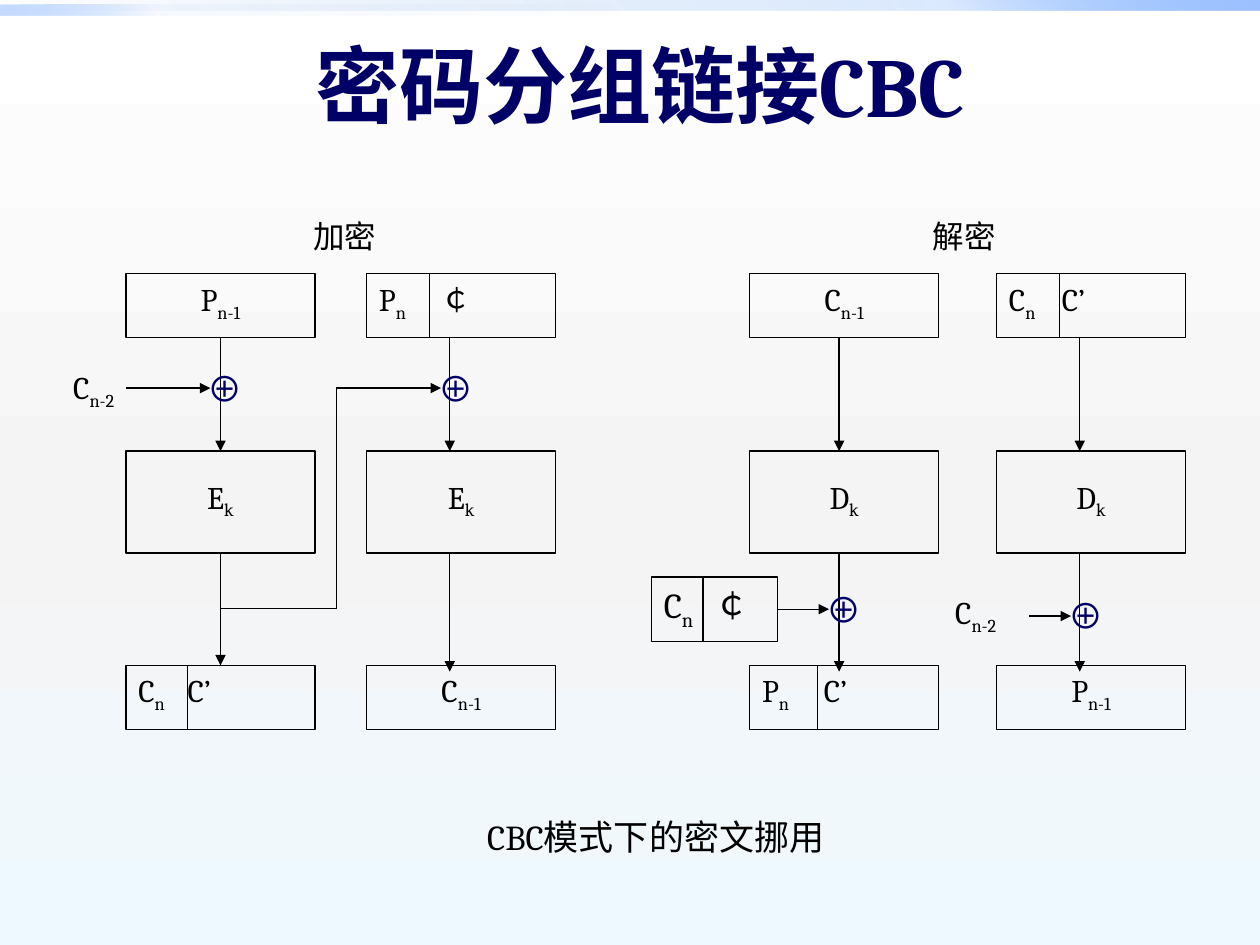
from lxml.etree import SubElement
from pptx import Presentation
from pptx.dml.color import RGBColor
from pptx.enum.shapes import MSO_CONNECTOR, MSO_SHAPE
from pptx.enum.text import MSO_ANCHOR, PP_ALIGN
from pptx.oxml.ns import qn
from pptx.util import Inches, Pt

COLORS = {"navy": "000066", "ink": "000000"}
LATIN, CJK = "Cambria", "Noto Sans CJK SC"

# Gradient stops: position %, colour, opacity %
BACKGROUND = [(0, "FFFFFF", 100), (55, "F4F4F4", 100), (100, "EEF9FF", 100)]
BANDS = [
    ((0, 0, 10, 0.08), [(0, "0058B7", 0), (75, "4F95FF", 20), (100, "9EC2FF", 100)], 315),
    ((0, 0.04, 5, 0.08), [(0, "0058B7", 0), (75, "4F95FF", 5), (100, "9EC2FF", 60)], 135),
]

TITLE = "密码分组链接CBC"
LABELS = [  # text, box, size
    ("加密", (2.32, 1.67, 0.83, 0.4), 18),
    ("解密", (7.24, 1.67, 0.83, 0.4), 18),
    ("CBC模式下的密文挪用", (3.33, 6.42, 3.75, 0.44), 20),
]

# "_" starts a subscript; "|" splits a block in two
COLUMN_X = [1, 2.91, 5.95, 7.91]
ARROW_X = [1.75, 3.57, 6.66, 8.57]
ROWS = [(2.17, 0.51), (3.58, 0.81), (5.28, 0.51)]
BLOCK_W = 1.5
BLOCKS = [
    ["P_n-1", "P_n|￠", "C_n-1", "C_n|C’"],
    ["E_k", "E_k", "D_k", "D_k"],
    ["C_n|C’", "C_n-1", "P_n|C’", "P_n-1"],
]
SPLITS = {  # (row, column): divider offset, tab stop
    (0, 1): (0.5, 0.49), (0, 3): (0.5, 0.42),
    (2, 0): (0.49, 0.39), (2, 2): (0.54, 0.49),
}
STOLEN_BLOCK = ("C_n|￠", (5.17, 4.58, 1, 0.51), (0.41, 0.4))
XORS = [(1.55, 2.92), (3.38, 2.92), (6.46, 4.67), (8.38, 4.72)]
VECTORS = [("C_n-2", 0.33, 2.92), ("C_n-2", 7.33, 4.71)]
LINES = [  # start, end, arrowhead
    ((1, 3.08), (1.67, 3.08), True),
    ((1.75, 4.83), (2.67, 4.83), False),
    ((2.67, 4.83), (2.67, 3.08), False),
    ((2.67, 3.08), (3.5, 3.08), True),
    ((8.17, 4.89), (8.5, 4.89), True),
]


def rgb(name):
    return RGBColor.from_string(COLORS[name])


def swap_gradient(root, stops, angle):
    """Replace the first solid fill under root by a linear gradient."""
    old = next(root.iter(qn("a:solidFill")))
    grad = old.makeelement(qn("a:gradFill"), {"rotWithShape": "1"})
    gs_list = SubElement(grad, qn("a:gsLst"))
    for pos, color, opacity in stops:
        gs = SubElement(gs_list, qn("a:gs"), pos=str(pos * 1000))
        clr = SubElement(gs, qn("a:srgbClr"), val=color)
        if opacity < 100:
            SubElement(clr, qn("a:alpha"), val=str(opacity * 1000))
    SubElement(grad, qn("a:lin"), ang=str(angle * 60000), scaled="0")
    old.getparent().replace(old, grad)


def write(s, text, size=18, color="ink", font=LATIN, bold=False, align=PP_ALIGN.CENTER,
          anchor=MSO_ANCHOR.TOP, inset_y=0.05, tab=None):
    tf = s.text_frame
    tf.word_wrap = True
    tf.vertical_anchor = anchor
    tf.margin_left = tf.margin_right = Inches(0.1)
    tf.margin_top = tf.margin_bottom = Inches(inset_y)
    p = tf.paragraphs[0]
    p.alignment = align
    if tab:
        tabs = SubElement(p._p.get_or_add_pPr(), qn("a:tabLst"))
        SubElement(tabs, qn("a:tab"), pos=str(Inches(tab)), algn="l")
    base, _, rest = text.partition("_")
    sub, _, second = rest.partition("|")
    for part, lowered in ((base, False), (sub, True), (second and "\t" + second, False)):
        if not part:
            continue
        r = p.add_run()
        r.text = part
        r.font.size, r.font.name, r.font.bold = Pt(size), font, bold
        r.font.color.rgb = rgb(color)
        SubElement(r._r.rPr, qn("a:ea"), typeface=CJK)
        if lowered:
            r._r.rPr.set("baseline", "-25000")


def add_text(slide, text, box, **fmt):
    write(slide.shapes.add_textbox(*map(Inches, box)), text, **fmt)


def add_line(slide, start, end, arrow=False):
    c = slide.shapes.add_connector(MSO_CONNECTOR.STRAIGHT, *map(Inches, (*start, *end)))
    c.line.color.rgb = rgb("ink")
    c.line.width = Pt(0.75)
    if arrow:
        SubElement(c.line._get_or_add_ln(), qn("a:tailEnd"), type="triangle")
    SubElement(c._element.spPr, qn("a:effectLst"))
    return c


def add_block(slide, text, box, split=None, **fmt):
    s = slide.shapes.add_shape(MSO_SHAPE.RECTANGLE, *map(Inches, box))
    s.shadow.inherit = False
    s.fill.background()
    s.line.color.rgb = rgb("ink")
    s.line.width = Pt(0.75)
    if split:
        divider, tab = split
        x, y, _, h = box
        write(s, text, align=PP_ALIGN.LEFT, tab=tab, **fmt)
        add_line(slide, (x + divider, y), (x + divider, y + h))
    else:
        write(s, text, **fmt)
    return s


def main():
    prs = Presentation()
    prs.slide_width, prs.slide_height = Inches(10), Inches(7.5)
    slide = prs.slides.add_slide(prs.slide_layouts[5])
    slide.background.fill.solid()
    slide.background.fill.fore_color.rgb = RGBColor(255, 255, 255)
    swap_gradient(slide._element, BACKGROUND, 90)

    for box, stops, angle in BANDS:
        s = slide.shapes.add_shape(MSO_SHAPE.RECTANGLE, *map(Inches, box))
        s.shadow.inherit = False
        s.line.fill.background()
        s.fill.solid()
        swap_gradient(s._element, stops, angle)

    title = slide.shapes.title
    title.left, title.top, title.width, title.height = map(Inches, (0.83, 0.25, 8.5, 0.83))
    write(title, TITLE, size=48, color="navy", bold=True, anchor=MSO_ANCHOR.MIDDLE)
    for text, box, size in LABELS:
        add_text(slide, text, box, size=size)

    grid = [
        [add_block(slide, text, (x, y, BLOCK_W, h), SPLITS.get((i, j)),
                   inset_y=0.21 if i == 1 else 0.05)
         for j, (text, x) in enumerate(zip(texts, COLUMN_X))]
        for i, (texts, (y, h)) in enumerate(zip(BLOCKS, ROWS))
    ]
    for i, ((y, h), (next_y, _)) in enumerate(zip(ROWS, ROWS[1:])):
        for j, x in enumerate(ARROW_X):
            overlap = 0.05 * i  # lower arrows reach into the result blocks
            c = add_line(slide, (x, y + h), (x, next_y + overlap), arrow=True)
            if x == COLUMN_X[j] + BLOCK_W / 2:
                c.begin_connect(grid[i][j], 2)
                c.end_connect(grid[i + 1][j], 0)

    text, box, split = STOLEN_BLOCK
    stolen = add_block(slide, text, box, split, size=20)
    mid_y = box[1] + box[3] / 2
    add_line(slide, (box[0] + box[2], mid_y), (6.58, mid_y), arrow=True).begin_connect(stolen, 3)
    for start, end, arrow in LINES:
        add_line(slide, start, end, arrow)
    for x, y in XORS:
        add_text(slide, "⊕", (x, y, 0.42, 0.33), size=20, color="navy", font=CJK,
                 align=PP_ALIGN.LEFT, inset_y=0)
    for text, x, y in VECTORS:
        add_text(slide, text, (x, y, 0.83, 0.3), inset_y=0)

    prs.save("out.pptx")


if __name__ == "__main__":
    main()
